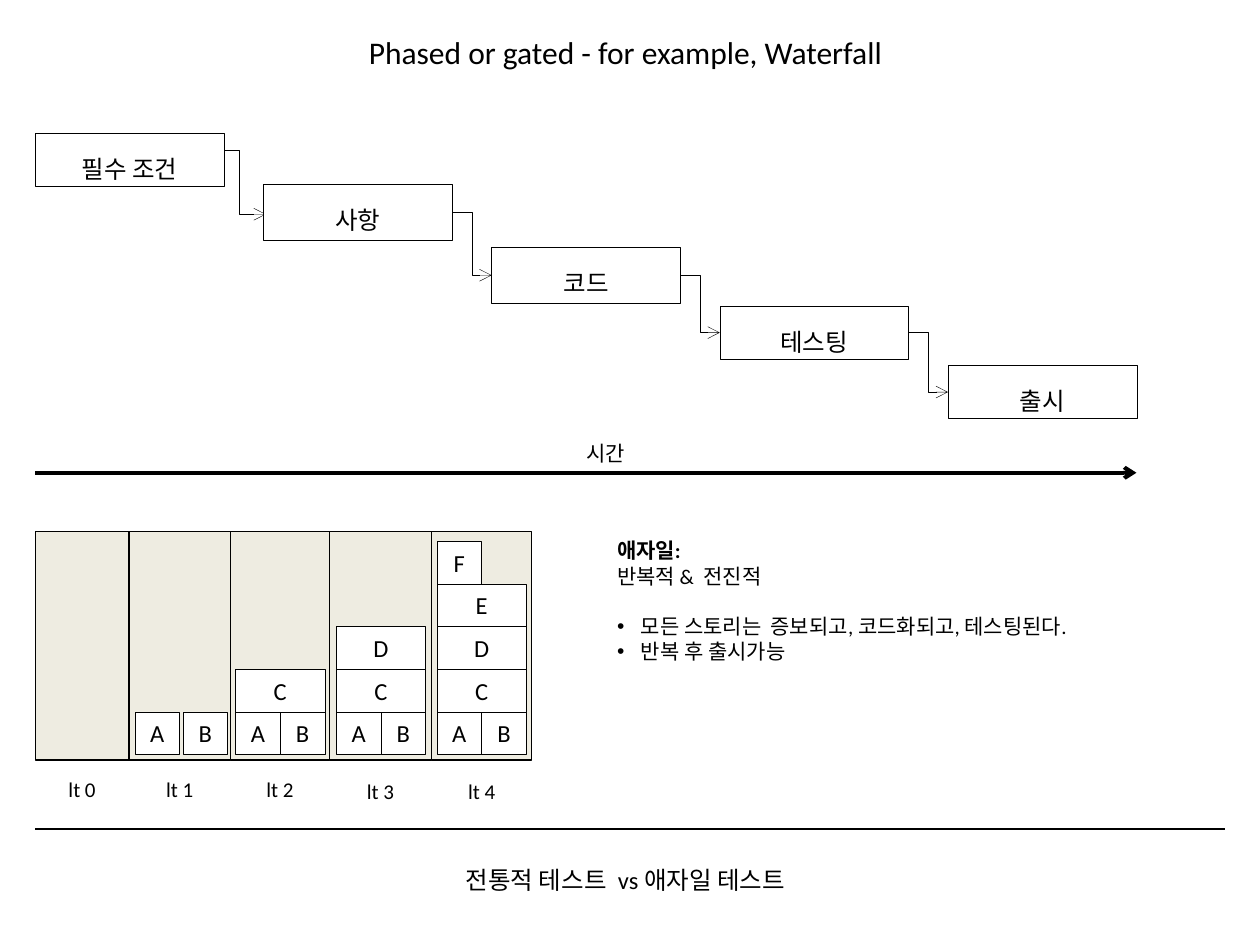
from lxml.etree import SubElement
from pptx import Presentation
from pptx.dml.color import RGBColor
from pptx.enum.shapes import MSO_CONNECTOR, MSO_SHAPE
from pptx.enum.text import MSO_ANCHOR, MSO_AUTO_SIZE, PP_ALIGN
from pptx.oxml.ns import qn
from pptx.util import Cm, Pt

BLACK = RGBColor(0x00, 0x00, 0x00)
WHITE = RGBColor(0xFF, 0xFF, 0xFF)
BEIGE = RGBColor(0xEE, 0xEC, 0xE1)
FONT = "Calibri"

LEFT_MARGIN = 0.71
# Waterfall phases: label, top and height in cm
PHASES = [
    ("필수 조건", 2.69, 1.07),
    ("사항", 3.71, 1.14),
    ("코드", 4.98, 1.14),
    ("테스팅", 6.17, 1.07),
    ("출시", 7.37, 1.07),
]
PHASE_WIDTH, PHASE_STEP = 3.81, 4.6

# Agile iterations: column edges in cm, and the story rows from the bottom up
COLUMN_EDGES = [0.71, 2.6, 4.65, 6.64, 8.7, 10.72]
ITERATIONS = [[], ["AB"], ["AB", "C"], ["AB", "C", "D"], ["AB", "C", "D", "E", "F"]]
COLUMN_TOP, COLUMN_HEIGHT = 10.72, 4.6
STORY_LEFT, STORY_STEP = 2.72, 2.03
STORY_BOTTOM_ROW, ROW_STEP, ROW_HEIGHT = 14.35, 0.86, 0.86
HALF_STORY = 0.9


def add_text_run(paragraph, text, size, bold=False):
    run = paragraph.add_run()
    run.text = text
    run.font.name = FONT
    run.font.size = Pt(size)
    run.font.bold = bold
    run.font.color.rgb = BLACK


def write_line(shape, text, size, anchor=MSO_ANCHOR.TOP, spacing=1.0):
    frame = shape.text_frame
    frame.word_wrap = True
    frame.auto_size = MSO_AUTO_SIZE.NONE
    frame.vertical_anchor = anchor
    paragraph = frame.paragraphs[0]
    paragraph.alignment = PP_ALIGN.CENTER
    paragraph.line_spacing = spacing
    add_text_run(paragraph, text, size)


def add_box(slide, left, top, width, height, fill=WHITE, line_width=0.25):
    box = slide.shapes.add_shape(
        MSO_SHAPE.RECTANGLE, Cm(left), Cm(top), Cm(width), Cm(height))
    box.shadow.inherit = False
    box.fill.solid()
    box.fill.fore_color.rgb = fill
    box.line.color.rgb = BLACK
    box.line.width = Pt(line_width)
    return box


def add_label(slide, text, left, top, width, height, size=12):
    label = slide.shapes.add_textbox(Cm(left), Cm(top), Cm(width), Cm(height))
    write_line(label, text, size)


def add_line(slide, start, end, width, kind=MSO_CONNECTOR.STRAIGHT, arrow=False):
    line = slide.shapes.add_connector(
        kind, Cm(start[0]), Cm(start[1]), Cm(end[0]), Cm(end[1]))
    line.line.color.rgb = BLACK
    line.line.width = Pt(width)
    properties = line._element.spPr
    if arrow:
        SubElement(properties.find(qn("a:ln")), qn("a:tailEnd"), type="arrow")
    SubElement(properties, qn("a:effectLst"))
    return line


def add_elbow(slide, start=(0, 0), end=(0, 0)):
    return add_line(slide, start, end, 0.25, MSO_CONNECTOR.ELBOW, arrow=True)


def add_title(slide):
    title = slide.shapes.title
    title.left, title.top = Cm(5.51), Cm(0.53)
    title.width, title.height = Cm(14.2), Cm(1.02)
    write_line(title, "Phased or gated - for example, Waterfall", 18)


def add_waterfall(slide):
    # The first elbow starts behind its box and bends right of the middle
    first_elbow = add_elbow(slide, (3.96, 3.02), (5.36, 4.32))
    geometry = first_elbow._element.spPr.find(qn("a:prstGeom"))
    SubElement(geometry.find(qn("a:avLst")), qn("a:gd"), name="adj1", fmla="val 61200")

    boxes = []
    for index, (text, top, height) in enumerate(PHASES):
        left = LEFT_MARGIN + index * PHASE_STEP
        box = add_box(slide, left, top, PHASE_WIDTH, height)
        write_line(box, text, 14, spacing=1.5)
        boxes.append(box)
    for source, target in zip(boxes[1:], boxes[2:]):
        elbow = add_elbow(slide)
        elbow.begin_connect(source, 3)
        elbow.end_connect(target, 1)

    # Time axis
    add_label(slide, "시간", 11.51, 8.76, 1.4, 0.76)
    add_line(slide, (LEFT_MARGIN, 9.53), (22.91, 9.53), 2.25, arrow=True)


def add_stories(slide, iteration, rows):
    left = STORY_LEFT + (iteration - 1) * STORY_STEP
    gap = 0.07 if iteration == 1 else 0
    for row, names in enumerate(rows):
        top = STORY_BOTTOM_ROW - row * ROW_STEP
        width = HALF_STORY if names in ("AB", "F") else 2 * HALF_STORY
        for position, name in enumerate(names):
            story = add_box(slide, left + position * (width + gap), top, width, ROW_HEIGHT)
            write_line(story, name, 14, MSO_ANCHOR.MIDDLE)


def add_iterations(slide):
    for iteration, rows in enumerate(ITERATIONS):
        left = COLUMN_EDGES[iteration]
        width = COLUMN_EDGES[iteration + 1] - left
        add_box(slide, left, COLUMN_TOP, width, COLUMN_HEIGHT, BEIGE, 0.75)
        add_stories(slide, iteration, rows)
        label_top = 15.52 if iteration < 3 else 15.57
        add_label(slide, f"lt {iteration}", left, label_top, width, 0.76)


def make_bullet(paragraph):
    properties = paragraph._p.get_or_add_pPr()
    properties.set("marL", str(Cm(0.48)))
    properties.set("indent", str(-Cm(0.48)))
    SubElement(properties, qn("a:buFont"), typeface="Arial")
    SubElement(properties, qn("a:buChar"), char="•")


def add_agile_notes(slide):
    notes = slide.shapes.add_textbox(Cm(12.19), Cm(10.72), Cm(10.69), Cm(3.33))
    frame = notes.text_frame
    frame.word_wrap = True
    add_text_run(frame.paragraphs[0], "애자일:", 12, bold=True)
    add_text_run(frame.add_paragraph(), "반복적 &  전진적", 12)
    bullets = ["모든 스토리는  증보되고, 코드화되고, 테스팅된다.", "반복 후 출시가능"]
    for index, text in enumerate(bullets):
        paragraph = frame.add_paragraph()
        paragraph.space_before = Pt(0 if index else 14.4)
        make_bullet(paragraph)
        add_text_run(paragraph, text, 12)


def add_footer(slide):
    add_line(slide, (LEFT_MARGIN, 16.71), (24.69, 16.71), 0.75)
    add_label(slide, "전통적 테스트  vs 애자일 테스트", 7.67, 17.32, 9.88, 0.86, 14)


def main():
    presentation = Presentation()
    presentation.slide_width, presentation.slide_height = Cm(25.4), Cm(19.05)
    slide = presentation.slides.add_slide(presentation.slide_layouts[5])
    add_title(slide)
    add_waterfall(slide)
    add_iterations(slide)
    add_agile_notes(slide)
    add_footer(slide)
    presentation.save("out.pptx")


main()
